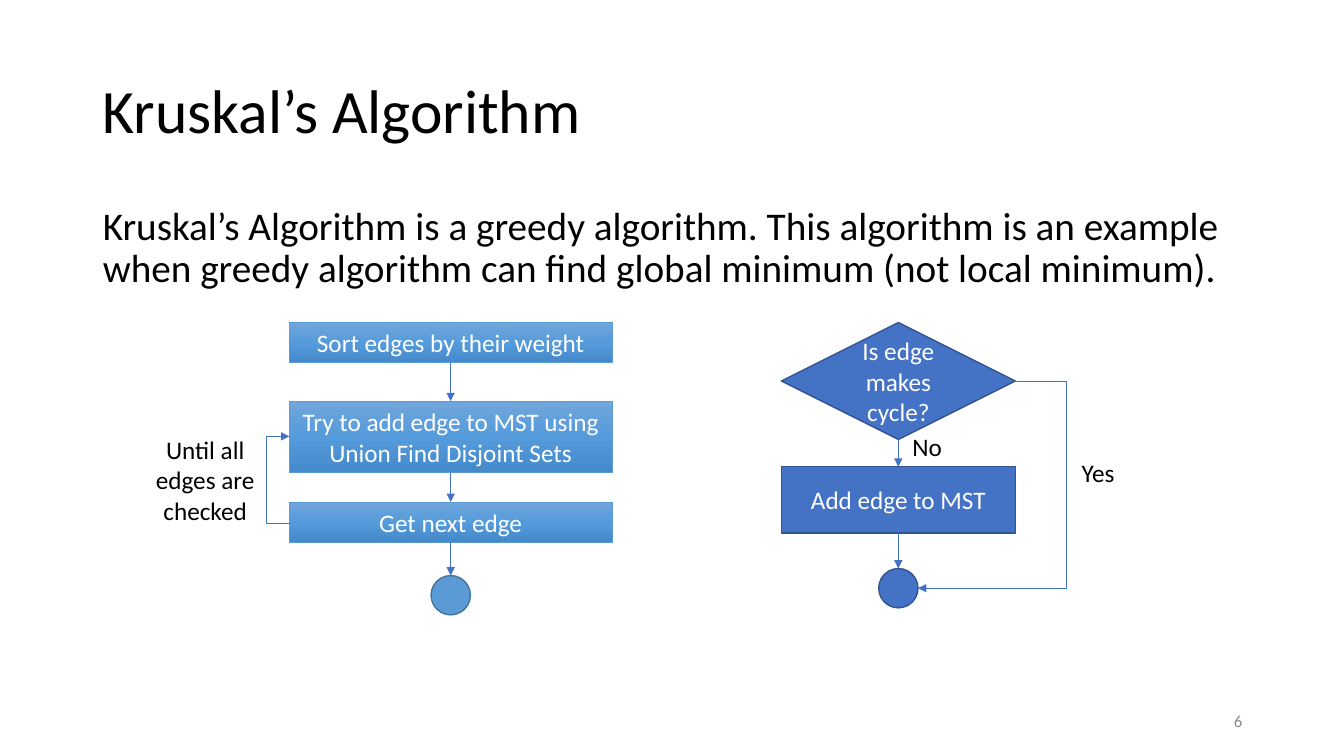
from collections import namedtuple
from dataclasses import dataclass

from lxml import etree
from pptx import Presentation
from pptx import util as u
from pptx.dml import color
from pptx.enum import shapes, text
from pptx.oxml import ns

Box = namedtuple("Box", "left top width height")
TOP, BOTTOM = 0, 2
ELLIPSE_TOP = 0


@dataclass(frozen=True)
class Theme:
    """Colours, font and type sizes of the slide."""
    font: str = "Calibri"
    title: int = 44
    body: int = 28
    label: int = 18
    small: int = 12
    black: str = "000000"
    white: str = "FFFFFF"
    grey: str = "8C8C8C"
    blue: str = "4472C4"
    blue_edge: str = "325491"
    sky: str = "5B9BD5"
    sky_edge: str = "43739E"
    gradient: tuple = ("71A6DB", "559BDB", "448ACA")


THEME = Theme()


def rgb(value):
    """Turn a hex string into a colour."""
    return color.RGBColor.from_string(value)


def inches(*lengths):
    """Turn numbers into lengths in inches."""
    return [u.Inches(length) for length in lengths]


def write(shape, wording, size, colour, align, anchor):
    """Put one formatted paragraph into a shape."""
    frame = shape.text_frame
    frame.text = wording
    frame.word_wrap = True
    frame.auto_size = text.MSO_AUTO_SIZE.NONE
    frame.vertical_anchor = anchor
    paragraph = frame.paragraphs[0]
    paragraph.alignment = align
    for run in paragraph.runs:
        run.font.name = THEME.font
        run.font.size = u.Pt(size)
        run.font.color.rgb = rgb(colour)
    return paragraph


def add_label(slide, box, wording, align=text.PP_ALIGN.LEFT, size=THEME.label,
              colour=THEME.black, anchor=text.MSO_ANCHOR.TOP):
    """Add plain text in a box."""
    shape = slide.shapes.add_textbox(*inches(*box))
    write(shape, wording, size, colour, align, anchor)


def add_node(slide, kind, box, fill, edge, wording="", edge_width=1):
    """Add a filled flowchart node, with a gradient if fill is a tuple."""
    shape = slide.shapes.add_shape(kind, *inches(*box))
    shape.shadow.inherit = False
    if isinstance(fill, tuple):
        fill_with_gradient(shape, fill)
    else:
        shape.fill.solid()
        shape.fill.fore_color.rgb = rgb(fill)
    shape.line.color.rgb = rgb(edge)
    shape.line.width = u.Pt(edge_width)
    if wording:
        write(shape, wording, THEME.label, THEME.white,
              text.PP_ALIGN.CENTER, text.MSO_ANCHOR.MIDDLE)
    return shape


def fill_with_gradient(shape, colours):
    """Fill a shape from top to bottom with evenly spaced colours."""
    shape.fill.gradient()
    shape.fill.gradient_angle = 270
    stops = shape._element.spPr.find(".//" + ns.qn("a:gsLst"))
    for stop in list(stops):
        stops.remove(stop)
    for index, value in enumerate(colours):
        position = 100000 * index // (len(colours) - 1)
        stop = etree.SubElement(stops, ns.qn("a:gs"), pos=str(position))
        etree.SubElement(stop, ns.qn("a:srgbClr"), val=value)


def add_arrow(slide, kind, start, end):
    """Add a thin connector with an arrowhead at its end."""
    arrow = slide.shapes.add_connector(kind, *inches(*start, *end))
    arrow.line.color.rgb = rgb(THEME.blue)
    arrow.line.width = u.Pt(0.5)
    etree.SubElement(arrow.line._get_or_add_ln(), ns.qn("a:tailEnd"), type="triangle")
    etree.SubElement(arrow._element.spPr, ns.qn("a:effectLst"))
    return arrow


def link_down(slide, nodes):
    """Join each node to the next one below it."""
    for upper, lower in zip(nodes, nodes[1:]):
        arrow = add_arrow(slide, shapes.MSO_CONNECTOR.STRAIGHT, (0, 0), (1, 1))
        arrow.begin_connect(upper, BOTTOM)
        arrow.end_connect(lower, TOP)


def add_bent_arrow(slide, start, end, bend_x):
    """Add an elbow arrow that turns at bend_x."""
    arrow = add_arrow(slide, shapes.MSO_CONNECTOR.ELBOW, start, end)
    ratio = (bend_x - start[0]) / (end[0] - start[0])
    guides = arrow._element.spPr.find(ns.qn("a:prstGeom")).get_or_add_avLst()
    etree.SubElement(guides, ns.qn("a:gd"), name="adj1",
                     fmla=f"val {round(ratio * 100000)}")


def add_heading(slide, box):
    """Fill the title placeholder."""
    title = slide.shapes.title
    title.left, title.top, title.width, title.height = inches(*box)
    paragraph = write(title, "Kruskal’s Algorithm", THEME.title, THEME.black,
                      text.PP_ALIGN.LEFT, text.MSO_ANCHOR.MIDDLE)
    paragraph.line_spacing = 0.9


def add_body(slide, box):
    """Fill the body placeholder with an unbulleted paragraph."""
    body = slide.placeholders[1]
    body.left, body.top, body.width, body.height = inches(*box)
    paragraph = write(
        body,
        "Kruskal’s Algorithm is a greedy algorithm. This algorithm is an example "
        "when greedy algorithm can find global minimum (not local minimum).",
        THEME.body, THEME.black, text.PP_ALIGN.LEFT, text.MSO_ANCHOR.TOP)
    paragraph.line_spacing = 0.9
    paragraph.space_before = u.Pt(0)
    properties = paragraph._p.get_or_add_pPr()
    properties.set("marL", "0")
    properties.set("indent", "0")
    etree.SubElement(properties, ns.qn("a:buNone"))


def add_edge_loop(slide, box):
    """Draw the loop over all edges."""
    width, dot = 3.2, 0.39
    left = box.left + box.width - width
    steps = [(0, 0.4, "Sort edges by their weight"),
             (0.78, 0.71, "Try to add edge to MST using Union Find Disjoint Sets"),
             (1.78, 0.4, "Get next edge")]
    nodes = [add_node(slide, shapes.MSO_SHAPE.RECTANGLE,
                      Box(left, box.top + offset, width, height),
                      THEME.gradient, THEME.sky, wording, 0.5)
             for offset, height, wording in steps]
    nodes.append(add_node(slide, shapes.MSO_SHAPE.OVAL,
                          Box(left + (width - dot) / 2, box.top + box.height - dot, dot, dot),
                          THEME.sky, THEME.sky_edge))
    link_down(slide, nodes)
    add_bent_arrow(slide, (left + 0.02, box.top + 1.99), (left, box.top + 1.13), left - 0.23)
    add_label(slide, Box(box.left, box.top + 1.06, 1.23, 1.01),
              "Until all edges are checked", text.PP_ALIGN.CENTER)


def add_cycle_check(slide, box):
    """Draw the decision whether an edge joins the tree."""
    width, dot, diamond = 2.32, 0.39, 1.16
    middle = box.left + width / 2
    dot_top = box.top + box.height - dot
    parts = [(shapes.MSO_SHAPE.FLOWCHART_DECISION,
              Box(box.left, box.top, width, diamond), "Is edge makes cycle?"),
             (shapes.MSO_SHAPE.RECTANGLE,
              Box(box.left, box.top + 1.43, width, 0.66), "Add edge to MST"),
             (shapes.MSO_SHAPE.OVAL, Box(middle - dot / 2, dot_top, dot, dot), "")]
    nodes = [add_node(slide, kind, place, THEME.blue, THEME.blue_edge, wording)
             for kind, place, wording in parts]
    link_down(slide, nodes)
    add_bent_arrow(slide, (box.left + width, box.top + diamond / 2),
                   (middle + dot / 2, dot_top + dot / 2), box.left + width + 0.51)
    add_label(slide, Box(box.left + box.width - 0.71, box.top + 1.29, 0.71, 0.4), "Yes")
    add_label(slide, Box(middle + 0.04, box.top + 1.03, 0.71, 0.4), "No")


def main():
    """Build and save the slide."""
    presentation = Presentation()
    presentation.slide_width, presentation.slide_height = inches(13.33, 7.5)
    slide = presentation.slides.add_slide(presentation.slide_layouts[1])
    add_heading(slide, Box(0.92, 0.4, 11.5, 1.45))
    add_body(slide, Box(0.92, 2, 11.5, 4.76))
    add_edge_loop(slide, Box(1.42, 3.2, 4.65, 2.9))
    add_cycle_check(slide, Box(7.75, 3.2, 3.59, 2.83))
    add_label(slide, Box(9.42, 6.95, 3, 0.4), "6", text.PP_ALIGN.RIGHT,
              THEME.small, THEME.grey, text.MSO_ANCHOR.MIDDLE)
    presentation.save("out.pptx")


if __name__ == "__main__":
    main()
